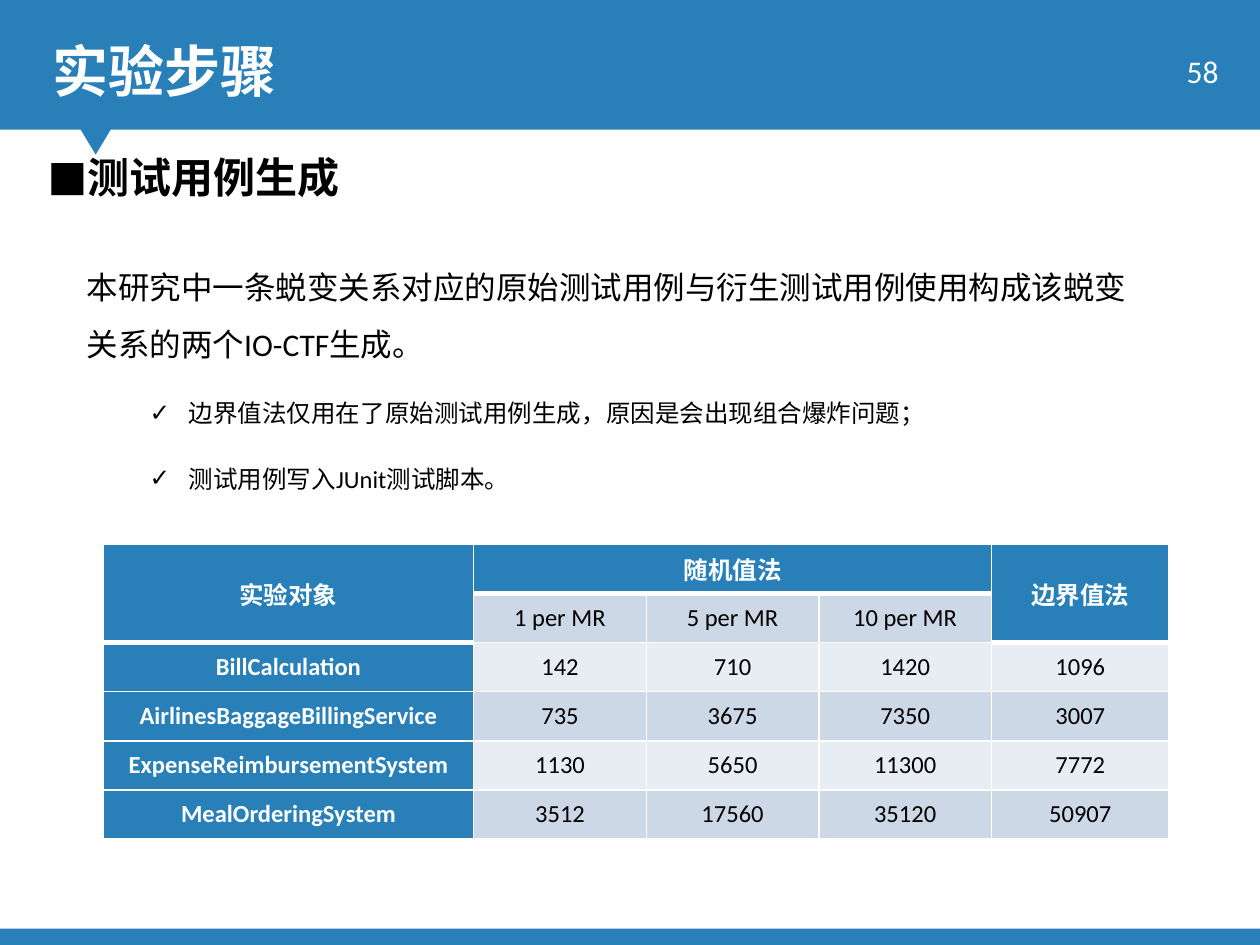
from dataclasses import dataclass

from lxml.etree import SubElement
from pptx import Presentation
from pptx.dml.color import RGBColor
from pptx.enum.shapes import MSO_SHAPE
from pptx.enum.text import MSO_ANCHOR, PP_ALIGN
from pptx.oxml.ns import qn
from pptx.util import Inches, Pt

COLORS = {
    "blue": "2980B9",
    "white": "FFFFFF",
    "black": "000000",
    "band_dark": "CDD8E6",
    "band_light": "E8EDF3",
}


@dataclass
class Line:
    text: str
    size: float
    color: str = "black"
    bold: bool = False
    font: str = "Calibri"
    align: PP_ALIGN = PP_ALIGN.LEFT
    bullet: str = ""
    margin: float = 0
    hanging: float = 0
    level: int = 0
    spacing: float = 1.0
    after: float = 0


def rgb(name: str) -> RGBColor:
    return RGBColor.from_string(COLORS[name])


def write(paragraph, line: Line) -> None:
    paragraph.text = line.text
    paragraph.level = line.level
    paragraph.alignment = line.align
    paragraph.line_spacing = line.spacing
    paragraph.space_before = Pt(0)
    paragraph.space_after = Pt(line.after)
    if line.bullet:
        properties = paragraph._p.get_or_add_pPr()
        properties.set("marL", str(Inches(line.margin)))
        properties.set("indent", str(-Inches(line.hanging)))
        SubElement(properties, qn("a:buFont"), typeface="DejaVu Sans")
        SubElement(properties, qn("a:buChar"), char=line.bullet)
    paragraph.font.name = line.font
    paragraph.font.size = Pt(line.size)
    paragraph.font.bold = line.bold
    paragraph.font.color.rgb = rgb(line.color)


def fill_frame(frame, lines: list[Line], anchor: MSO_ANCHOR) -> None:
    frame.word_wrap = True
    frame.vertical_anchor = anchor
    for index, line in enumerate(lines):
        write(frame.add_paragraph() if index else frame.paragraphs[0], line)


def add_text(slide, left: float, top: float, width: float, height: float,
             lines: list[Line], anchor: MSO_ANCHOR = MSO_ANCHOR.TOP) -> None:
    box = slide.shapes.add_textbox(
        Inches(left), Inches(top), Inches(width), Inches(height))
    fill_frame(box.text_frame, lines, anchor)


def paint(shape, color: str) -> None:
    shape.shadow.inherit = False
    shape.fill.solid()
    shape.fill.fore_color.rgb = rgb(color)
    shape.line.fill.background()


def add_backdrop(slide) -> None:
    backdrop = slide.shapes.add_shape(
        MSO_SHAPE.RECTANGLE, 0, 0, Inches(10), Inches(7.5))
    paint(backdrop, "blue")
    outline = [(0.64, 1.03), (0.76, 1.23), (0.88, 1.03),
               (10, 1.03), (10, 7.37), (0, 7.37)]
    builder = slide.shapes.build_freeform(0, Inches(1.03))
    builder.add_line_segments([(Inches(x), Inches(y)) for x, y in outline])
    paint(builder.convert_to_shape(), "white")


def add_border(cell, side: str, points: float) -> None:
    border = SubElement(cell._tc.get_or_add_tcPr(), qn(f"a:ln{side}"),
                        w=str(Pt(points)))
    fill = SubElement(border, qn("a:solidFill"))
    SubElement(fill, qn("a:srgbClr"), val=COLORS["white"])


HEADINGS = [
    ["实验对象", "随机值法", "", "", "边界值法"],
    ["", "1 per MR", "5 per MR", "10 per MR", ""],
]
CASE_COUNTS = {
    "BillCalculation": [142, 710, 1420, 1096],
    "AirlinesBaggageBillingService": [735, 3675, 7350, 3007],
    "ExpenseReimbursementSystem": [1130, 5650, 11300, 7772],
    "MealOrderingSystem": [3512, 17560, 35120, 50907],
}
COLUMN_WIDTHS = [2.94, 1.37, 1.37, 1.37, 1.41]
ROW_HEIGHT = 0.39


def is_heading(row: int, column: int) -> bool:
    return row == 0 or (row == 1 and column in (0, 4))


def rule_below(row: int, column: int) -> float:
    return 3 if row >= 0 and is_heading(row, column) else 1


def add_case_table(slide) -> None:
    rows = HEADINGS + [[name, *map(str, counts)]
                       for name, counts in CASE_COUNTS.items()]
    table = slide.shapes.add_table(
        len(rows), len(COLUMN_WIDTHS), Inches(0.82), Inches(4.32),
        Inches(sum(COLUMN_WIDTHS)), Inches(ROW_HEIGHT * len(rows))).table
    for column, width in zip(table.columns, COLUMN_WIDTHS):
        column.width = Inches(width)
    for r, values in enumerate(rows):
        table.rows[r].height = Inches(ROW_HEIGHT)
        for c, value in enumerate(values):
            cell = table.cell(r, c)
            strong = is_heading(r, c) or c == 0
            cell.margin_left = cell.margin_right = Inches(0.07)
            cell.margin_top = cell.margin_bottom = 0
            cell.vertical_anchor = MSO_ANCHOR.MIDDLE
            write(cell.text_frame.paragraphs[0],
                  Line(value, 14, "white" if strong else "black", strong,
                       align=PP_ALIGN.CENTER))
            for side, points in [("L", 1), ("R", 1),
                                 ("T", rule_below(r - 1, c)),
                                 ("B", rule_below(r, c))]:
                add_border(cell, side, points)
            band = "band_dark" if r % 2 else "band_light"
            cell.fill.solid()
            cell.fill.fore_color.rgb = rgb("blue" if strong else band)
    for start, end in [((0, 0), (1, 0)), ((0, 1), (0, 3)), ((0, 4), (1, 4))]:
        table.cell(*start).merge(table.cell(*end))


def main() -> None:
    presentation = Presentation()
    presentation.slide_width = Inches(10)
    presentation.slide_height = Inches(7.5)
    slide = presentation.slides.add_slide(presentation.slide_layouts[5])
    add_backdrop(slide)

    title = slide.shapes.title
    slide.shapes._spTree.append(title._element)
    title.left, title.top = Inches(0.32), Inches(0.24)
    title.width, title.height = Inches(7.76), Inches(0.64)
    fill_frame(title.text_frame, [Line("实验步骤", 32, "white", True)],
               MSO_ANCHOR.MIDDLE)

    add_text(slide, 8.87, 0.31, 0.9, 0.5,
             [Line("58", 18, "white", align=PP_ALIGN.RIGHT)],
             MSO_ANCHOR.MIDDLE)
    points = ["边界值法仅用在了原始测试用例生成，原因是会出现组合爆炸问题；",
              "测试用例写入JUnit测试脚本。"]
    add_text(slide, 0.59, 1.93, 8.53, 2.05, [
        Line("本研究中一条蜕变关系对应的原始测试用例与衍生测试用例使用构成该蜕变"
             "关系的两个IO-CTF生成。", 18, spacing=1.5, after=12),
        *[Line(point, 14, bullet="✓", margin=0.81, hanging=0.31, level=1,
               spacing=1.5, after=12) for point in points],
    ])
    add_text(slide, 0.28, 1.15, 5.97, 0.5,
             [Line("测试用例生成", 24, bold=True, font="DejaVu Sans",
                   bullet="■", margin=0.27, hanging=0.27)])
    add_case_table(slide)
    presentation.save("out.pptx")


if __name__ == "__main__":
    main()
